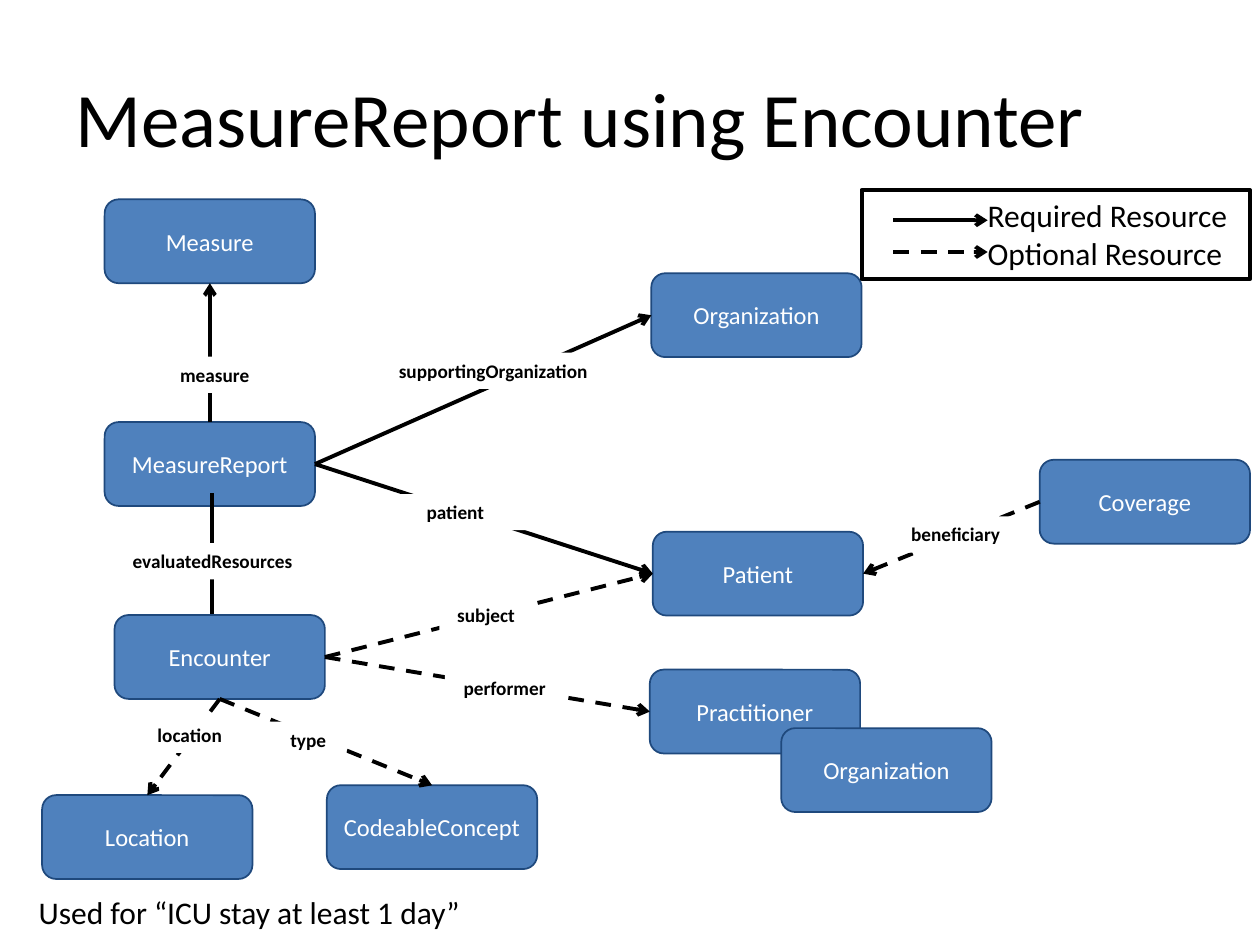
from lxml.etree import SubElement
from pptx import Presentation
from pptx.dml.color import RGBColor
from pptx.enum.dml import MSO_LINE
from pptx.enum.shapes import MSO_CONNECTOR, MSO_SHAPE
from pptx.enum.text import MSO_ANCHOR, PP_ALIGN
from pptx.oxml.ns import qn
from pptx.util import Cm, Pt

BLACK, WHITE, BLUE, NAVY = "000000", "FFFFFF", "4F81BD", "1F497D"
NODE_WIDTH, NODE_HEIGHT = 4.24, 1.69
LABEL_HEIGHT = 0.73
TOP, LEFT, BOTTOM, RIGHT = range(4)


def color(value):
    return RGBColor.from_string(value)


def write_text(shape, text, size, text_color=BLACK, bold=False,
               alignment=PP_ALIGN.LEFT, anchor=MSO_ANCHOR.TOP):
    frame = shape.text_frame
    frame.word_wrap = True
    frame.vertical_anchor = anchor
    frame.text = text
    for paragraph in frame.paragraphs:
        paragraph.alignment = alignment
        font = paragraph.runs[0].font
        font.name, font.size, font.bold = "Calibri", Pt(size), bold
        font.color.rgb = color(text_color)


def add_text(slide, left, top, width, height, text, size, anchor=MSO_ANCHOR.TOP):
    box = slide.shapes.add_textbox(Cm(left), Cm(top), Cm(width), Cm(height))
    write_text(box, text, size, anchor=anchor)


def add_box(slide, kind, left, top, width, height, fill=None, line=None, line_width=1):
    shape = slide.shapes.add_shape(kind, Cm(left), Cm(top), Cm(width), Cm(height))
    shape.shadow.inherit = False
    if fill:
        shape.fill.solid()
        shape.fill.fore_color.rgb = color(fill)
    else:
        shape.fill.background()
    if line:
        shape.line.color.rgb = color(line)
        shape.line.width = Pt(line_width)
    else:
        shape.line.fill.background()
    return shape


def add_nodes(slide, left, top, places):
    nodes = {}
    for name, x, y in places:
        node = add_box(slide, MSO_SHAPE.FLOWCHART_ALTERNATE_PROCESS, left + x, top + y,
                       NODE_WIDTH, NODE_HEIGHT, BLUE, NAVY)
        write_text(node, name, 14, WHITE, alignment=PP_ALIGN.CENTER, anchor=MSO_ANCHOR.MIDDLE)
        nodes[name] = node
    return nodes


def add_labels(slide, left, top, labels):
    for text, x, y, width in labels:
        label = add_box(slide, MSO_SHAPE.RECTANGLE, left + x, top + y, width, LABEL_HEIGHT, WHITE)
        write_text(label, text, 11, bold=True, alignment=PP_ALIGN.CENTER)


def add_arrow(slide, start_x=0, start_y=0, end_x=0, end_y=0, optional=False):
    arrow = slide.shapes.add_connector(
        MSO_CONNECTOR.STRAIGHT, Cm(start_x), Cm(start_y), Cm(end_x), Cm(end_y))
    arrow.line.color.rgb = color(BLACK)
    arrow.line.width = Pt(2.25)
    if optional:
        arrow.line.dash_style = MSO_LINE.DASH
    properties = arrow._element.spPr
    SubElement(properties.find(qn("a:ln")), qn("a:tailEnd"), type="arrow")
    SubElement(properties, qn("a:effectLst"))
    return arrow


def link_nodes(slide, nodes, links):
    for source, source_side, target, target_side, optional in links:
        arrow = add_arrow(slide, optional=optional)
        arrow.begin_connect(nodes[source], source_side)
        arrow.end_connect(nodes[target], target_side)


def draw_report(slide, left, top):
    nodes = add_nodes(slide, left, top, [
        ("Measure", 0, 0),
        ("MeasureReport", 0, 4.49),
        ("Organization", 11.02, 1.49),
        ("Patient", 11.05, 6.7),
        ("Coverage", 18.85, 5.25),
    ])
    link_nodes(slide, nodes, [
        ("MeasureReport", TOP, "Measure", BOTTOM, False),
        ("MeasureReport", RIGHT, "Organization", LEFT, False),
        ("MeasureReport", RIGHT, "Patient", LEFT, False),
        ("Coverage", LEFT, "Patient", RIGHT, True),
    ])
    add_arrow(slide, left + 2.16, top + 5.92, left + 2.16, top + 8.68)
    add_labels(slide, left, top, [
        ("measure", 0.63, 3.17, 3.18),
        ("supportingOrganization", 5.51, 3.09, 4.65),
        ("evaluatedResources", -0.1, 6.93, 4.55),
        ("patient", 5.48, 5.94, 3.18),
        ("beneficiary", 15.9, 6.39, 2.51),
    ])
    return nodes["Patient"]


def draw_encounter(slide, left, top, patient):
    nodes = add_nodes(slide, left, top, [
        ("Encounter", 1.46, 0),
        ("Location", 0, 3.63),
        ("CodeableConcept", 5.74, 3.43),
        ("Practitioner", 12.25, 1.1),
        ("Organization", 14.9, 2.28),
    ])
    nodes["Patient"] = patient
    link_nodes(slide, nodes, [
        ("Encounter", BOTTOM, "Location", TOP, True),
        ("Encounter", BOTTOM, "CodeableConcept", TOP, True),
        ("Encounter", RIGHT, "Practitioner", LEFT, True),
        ("Encounter", RIGHT, "Patient", LEFT, True),
    ])
    add_labels(slide, left, top, [
        ("performer", 8.12, 1.11, 2.41),
        ("location", 1.87, 2.05, 2.21),
        ("type", 4.59, 2.15, 1.55),
        ("subject", 8.01, -0.36, 1.88),
    ])


def draw_legend(slide, left, top, width, height):
    frame = add_box(slide, MSO_SHAPE.RECTANGLE, left, top, width, height,
                    line=BLACK, line_width=2.25)
    write_text(frame, "Required Resource\nOptional Resource", 18)
    frame.text_frame.margin_left = Cm(2.54)
    for y, optional in ((0.61, False), (1.25, True)):
        add_arrow(slide, left + 0.64, top + y, left + 2.54, top + y, optional)


def main():
    presentation = Presentation()
    presentation.slide_width, presentation.slide_height = Cm(25.4), Cm(19.05)
    slide = presentation.slides.add_slide(presentation.slide_layouts[6])
    add_text(slide, 1.27, 0.76, 22.86, 3.18, "MeasureReport using Encounter", 44,
             MSO_ANCHOR.MIDDLE)
    patient = draw_report(slide, 2.11, 4.02)
    draw_encounter(slide, 0.85, 12.4, patient)
    draw_legend(slide, 17.37, 3.83, 7.83, 1.8)
    add_text(slide, 0.53, 17.88, 13.87, 1.02, "Used for “ICU stay at least 1 day”", 18)
    presentation.save("out.pptx")


if __name__ == "__main__":
    main()
